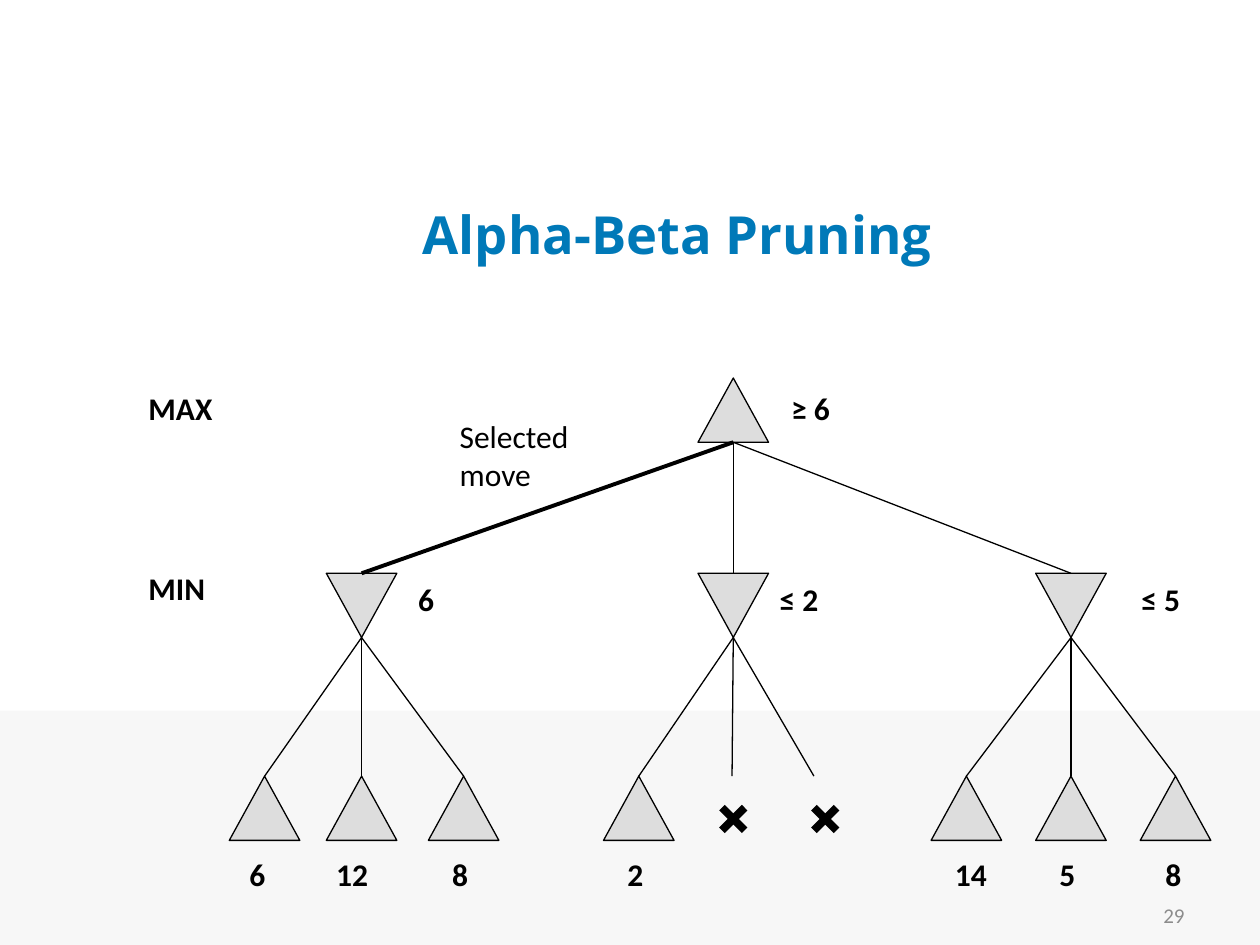
from lxml.etree import SubElement
from pptx import Presentation
from pptx.dml.color import RGBColor
from pptx.enum.shapes import MSO_CONNECTOR, MSO_SHAPE
from pptx.enum.text import MSO_ANCHOR, PP_ALIGN
from pptx.oxml.ns import qn
from pptx.util import Inches, Pt

# Content: each node is (center x, label, label left)
TITLE = "Alpha-Beta Pruning"
PAGE_NUMBER = "29"
ROOT = (5.82, "≥ 6", 6.18)
BRANCHES = [
    {"node": (2.87, "6", 3.22), "selected": True, "pruned": [],
     "leaves": [(2.1, "6", 1.88), (2.87, "12", 2.57), (3.68, "8", 3.49)]},
    {"node": (5.82, "≤ 2", 6.09), "selected": False,
     "pruned": [(5.81, 5.82), (6.46, 6.55)],  # line end x, cross center x
     "leaves": [(5.07, "2", 4.88)]},
    {"node": (8.5, "≤ 5", 8.96), "selected": False, "pruned": [],
     "leaves": [(7.67, "14", 7.48), (8.5, "5", 8.31), (9.33, "8", 9.15)]},
]
LEVELS = [("MAX", 3.04), ("MIN", 4.47)]  # name, label top

# Layout
NODE_WIDTH, NODE_HEIGHT = 0.56, 0.51
MAX_TOP, MIN_TOP, LEAF_TOP = 3, 4.55, 6.16
MAX_LABEL_TOP, LEAF_LABEL_TOP = 3.04, 6.74
CROSS_Y, CROSS_HALF = 6.5, 0.09
BLACK, GRAY = "000000", "DDDDDD"


def color(value):
    return RGBColor.from_string(value)


def style(paragraph, size, name="Calibri", fill=BLACK, bold=False, align=PP_ALIGN.LEFT):
    paragraph.alignment = align
    font = paragraph.font
    font.size, font.name, font.bold = Pt(size), name, bold
    font.color.rgb = color(fill)


def add_label(slide, text, left, top, width=0.8, height=0.41, size=18, **look):
    box = slide.shapes.add_textbox(Inches(left), Inches(top), Inches(width), Inches(height))
    box.text_frame.word_wrap = True
    box.text_frame.text = text
    style(box.text_frame.paragraphs[0], size, **look)
    return box


def add_node(slide, center, top, minimum=False):
    shape = slide.shapes.add_shape(
        MSO_SHAPE.ISOSCELES_TRIANGLE, Inches(center - NODE_WIDTH / 2), Inches(top),
        Inches(NODE_WIDTH), Inches(NODE_HEIGHT))
    shape.shadow.inherit = False
    shape.fill.solid()
    shape.fill.fore_color.rgb = color(GRAY)
    shape.line.color.rgb = color(BLACK)
    shape.line.width = Pt(0.75)
    if minimum:
        shape._element.spPr.find(qn("a:xfrm")).set("flipV", "1")


def add_line(slide, start_x, start_y, end_x, end_y, width=0.75):
    line = slide.shapes.add_connector(
        MSO_CONNECTOR.STRAIGHT, Inches(start_x), Inches(start_y), Inches(end_x), Inches(end_y))
    line.line.color.rgb = color(BLACK)
    line.line.width = Pt(width)
    SubElement(line._element.spPr, qn("a:effectLst"))


def add_cross(slide, center):
    left, right = center - CROSS_HALF, center + CROSS_HALF
    top, bottom = CROSS_Y - CROSS_HALF, CROSS_Y + CROSS_HALF
    add_line(slide, left, top, right, bottom, 4.5)
    add_line(slide, left, bottom, right, top, 4.5)


def main():
    presentation = Presentation()
    presentation.slide_width, presentation.slide_height = Inches(10), Inches(7.5)
    slide = presentation.slides.add_slide(presentation.slide_layouts[5])

    # Footer band, title and page number
    band = slide.shapes.add_shape(
        MSO_SHAPE.RECTANGLE, 0, Inches(5.64), Inches(10), Inches(1.86))
    band.shadow.inherit = False
    band.fill.solid()
    band.fill.fore_color.rgb = color("F7F7F7")
    band.line.fill.background()

    title = slide.shapes.title
    title.left, title.top = Inches(1.25), Inches(1.5)
    title.width, title.height = Inches(8.25), Inches(0.7)
    title.text_frame.text = TITLE
    title.text_frame.vertical_anchor = MSO_ANCHOR.MIDDLE
    style(title.text_frame.paragraphs[0], 30, "Open Sans", "0079B8", True, PP_ALIGN.CENTER)

    page = add_label(slide, PAGE_NUMBER, 7.17, 7.06, 2.33, 0.4, 12,
                     fill="8C8C8C", align=PP_ALIGN.RIGHT)
    page.text_frame.vertical_anchor = MSO_ANCHOR.MIDDLE

    # Level names and root
    for name, top in LEVELS:
        add_label(slide, name, 1.08, top, bold=True)
    root_x, root_label, root_label_left = ROOT
    add_node(slide, root_x, MAX_TOP)
    add_label(slide, root_label, root_label_left, MAX_LABEL_TOP, bold=True)
    add_label(slide, "Selected move", 3.55, 3.26, 1.26, 0.71)

    # Branches with their leaves and pruned moves
    for branch in BRANCHES:
        node_x, label, label_left = branch["node"]
        add_node(slide, node_x, MIN_TOP, minimum=True)
        add_label(slide, label, label_left, MIN_TOP, bold=True)
        add_line(slide, root_x, MAX_TOP + NODE_HEIGHT, node_x, MIN_TOP,
                 2.25 if branch["selected"] else 0.75)
        node_bottom = MIN_TOP + NODE_HEIGHT
        for leaf_x, value, value_left in branch["leaves"]:
            add_node(slide, leaf_x, LEAF_TOP)
            add_line(slide, node_x, node_bottom, leaf_x, LEAF_TOP)
            add_label(slide, value, value_left, LEAF_LABEL_TOP, 0.59, bold=True)
        for end_x, cross_x in branch["pruned"]:
            add_line(slide, node_x, node_bottom, end_x, LEAF_TOP)
            add_cross(slide, cross_x)

    presentation.save("out.pptx")


if __name__ == "__main__":
    main()
